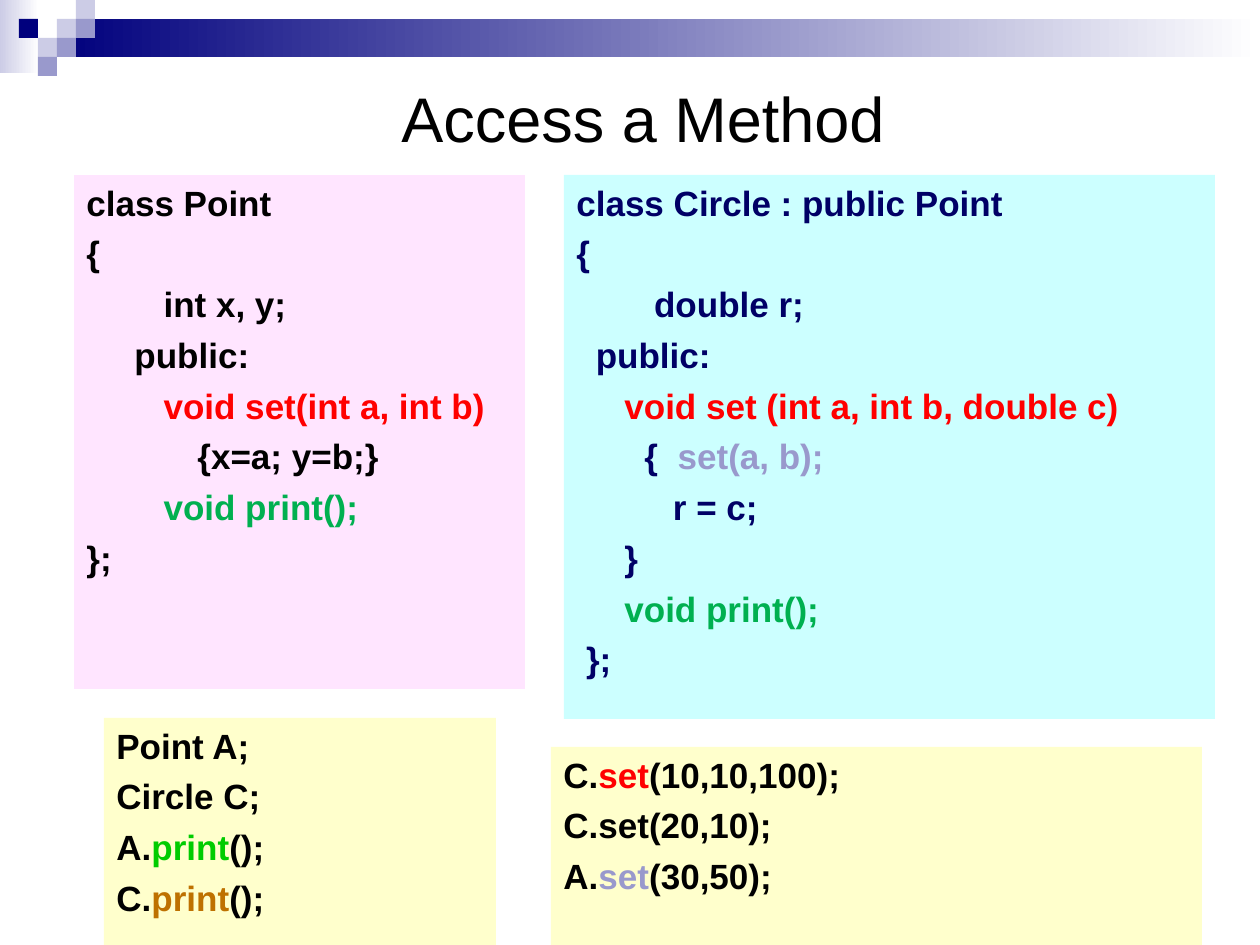
from pptx import Presentation
from pptx.util import Pt
from pptx.dml.color import RGBColor as RGB
from pptx.enum.shapes import MSO_SHAPE as Kind
from pptx.enum.text import PP_ALIGN as Align, MSO_ANCHOR as Anchor

PX = 914400 // 126  # EMU per px
HUE = {
    "black": "000000", "white": "FFFFFF", "navy": "00007D", "ink": "000066",
    "pale": "CCCCE6", "lilac": "9999CC", "pink": "FFE5FF", "aqua": "CCFFFF",
    "cream": "FFFFCC", "red": "FF0000", "green": "00B050", "lime": "00CC00",
    "brown": "BE7100",
}

deck = Presentation()
deck.slide_width, deck.slide_height = 1260 * PX, 945 * PX
page = deck.slides.add_slide(deck.slide_layouts[6])


def block(x, y, w, h, hue, fade=None):
    """Add a plain rectangle, solid or fading from left to right."""
    box = page.shapes.add_shape(Kind.RECTANGLE, x * PX, y * PX, w * PX, h * PX)
    box.shadow.inherit = False
    box.line.fill.background()
    if fade:
        box.fill.gradient()
        box.fill.gradient_angle = 0
        for stop, name in zip(box.fill.gradient_stops, (hue, fade)):
            stop.color.rgb = RGB.from_string(HUE[name])
    else:
        box.fill.solid()
        box.fill.fore_color.rgb = RGB.from_string(HUE[hue])
    return box


def write(box, lines, size=20, bold=True, hue="black", align=Align.LEFT,
          hang=-48, gap=5):
    """Fill a box; a line is a list of strings or (string, colour) pairs."""
    frame = box.text_frame
    frame.word_wrap = True
    frame.vertical_anchor = Anchor.TOP
    for i, line in enumerate(lines):
        para = frame.add_paragraph() if i else frame.paragraphs[0]
        para.alignment = align
        para.space_before = Pt(gap if i else 0)
        props = para._p.get_or_add_pPr()
        props.set("marL", str(48 * PX))
        props.set("indent", str(hang * PX))
        for part in line:
            text, name = (part, hue) if isinstance(part, str) else part
            run = para.add_run()
            run.text = text
            run.font.name = "Arial"
            run.font.size = Pt(size)
            run.font.bold = bold
            run.font.color.rgb = RGB.from_string(HUE[name])


# Top band and its squares
block(0, 0, 39, 73, "pale", fade="white")
block(57, 19, 1203, 38, "navy", fade="white")
CELL = 19
for col, row, hue in [(3, 1, "pale"), (4, 0, "pale"), (4, 1, "lilac"),
                      (2, 2, "pale"), (1, 1, "navy"), (3, 2, "lilac"),
                      (2, 3, "lilac")]:
    block(col * CELL, row * CELL, CELL, CELL, hue)

# Base class
write(block(74, 175, 451, 514, "pink"), [
    ["class Point"],
    ["{"],
    ["\t   int x, y;"],
    ["\tpublic:"],
    [("\t   void set(int a, int b)", "red")],
    ["\t\t{x=a; y=b;}"],
    [("\t   void print();", "green")],
    ["};"],
])

# Derived class
write(block(564, 175, 651, 544, "aqua"), [
    ["class Circle : public Point"],
    ["{"],
    ["        double r;"],
    ["  public:"],
    [("\tvoid set (int a, int b, double c)", "red")],
    ["       { ", (" set(a, b);", "lilac")],
    ["\t     r = c;"],
    ["\t}"],
    [("\tvoid print();", "green")],
    [" };"],
], hue="ink")

# Title
title = page.shapes.add_textbox(73 * PX, 73 * PX, 1092 * PX, 73 * PX)
write(title, [["Access a Method"]], size=36, bold=False,
      align=Align.CENTER, hang=0)

# Calls
write(block(551, 747, 651, 198, "cream"), [
    ["C.", ("set", "red"), "(10,10,100);"],
    ["C.set(20,10);"],
    ["A.", ("set", "lilac"), "(30,50);"],
])
write(block(104, 718, 392, 227, "cream"), [
    ["Point A;"],
    ["Circle C;"],
    ["A.", ("print", "lime"), "();"],
    ["C.", ("print", "brown"), "();"],
])

deck.save("out.pptx")
